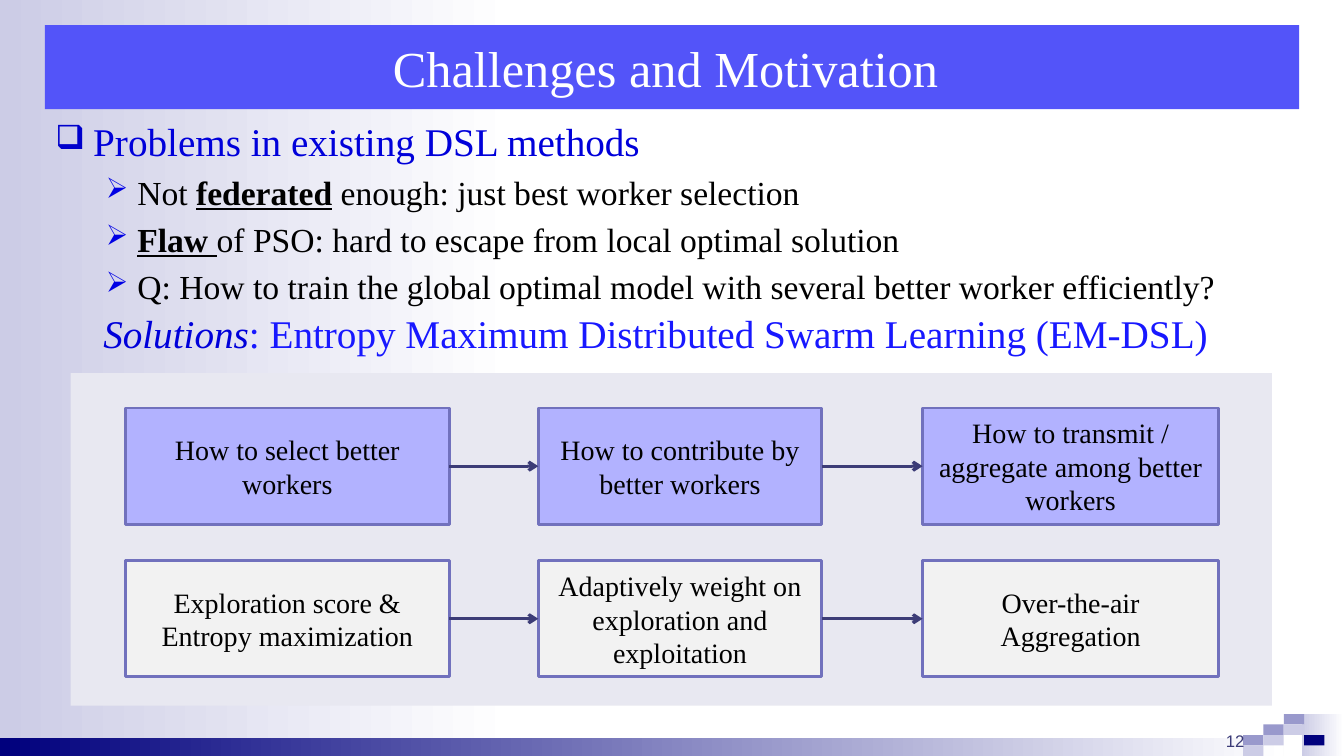
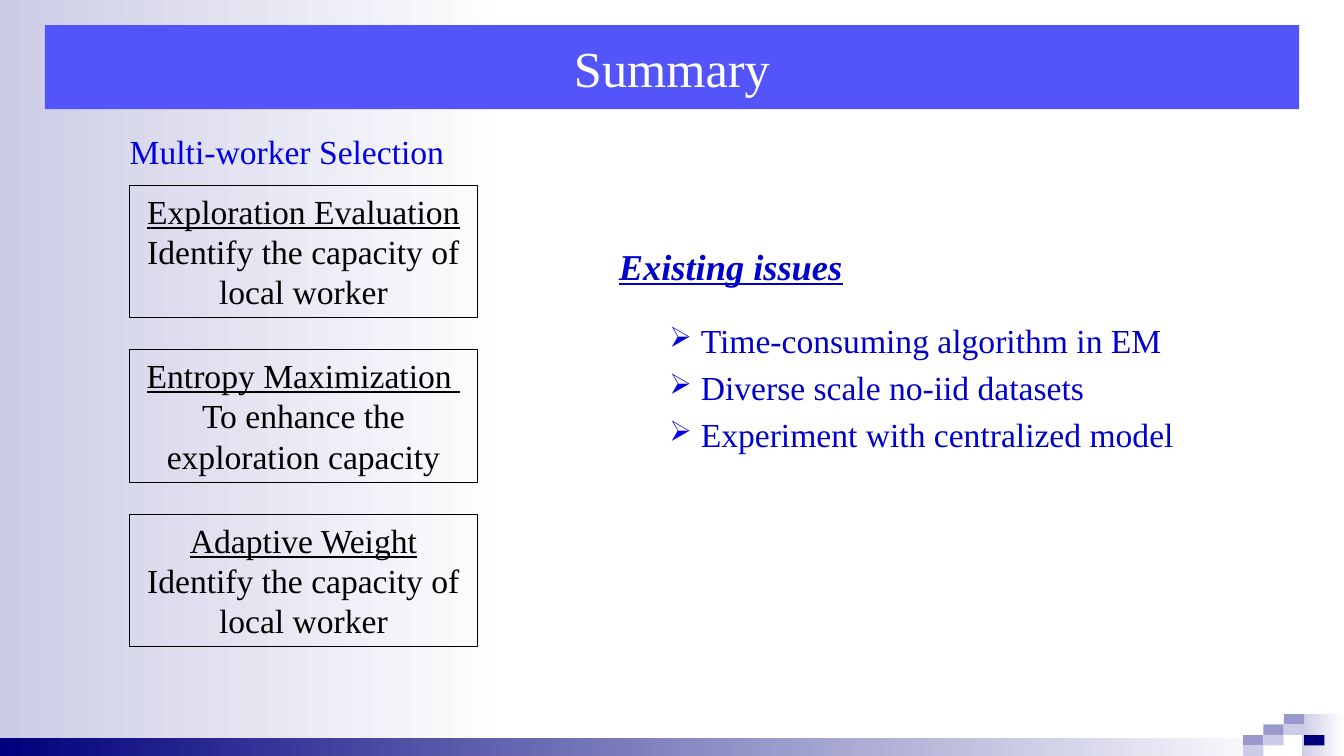
from dataclasses import dataclass

from lxml import etree
from pptx import Presentation
from pptx.dml.color import RGBColor
from pptx.enum.shapes import MSO_CONNECTOR, MSO_SHAPE
from pptx.enum.text import MSO_ANCHOR, PP_ALIGN
from pptx.oxml.ns import qn
from pptx.util import Pt

RECT, STRAIGHT = MSO_SHAPE.RECTANGLE, MSO_CONNECTOR.STRAIGHT
TOP, MIDDLE, BOTTOM = MSO_ANCHOR.TOP, MSO_ANCHOR.MIDDLE, MSO_ANCHOR.BOTTOM
LEFT, CENTER, RIGHT = PP_ALIGN.LEFT, PP_ALIGN.CENTER, PP_ALIGN.RIGHT


@dataclass(frozen=True)
class Theme:
    serif: str = "Times New Roman"
    sans: str = "Arial"
    title_size: int = 36
    head_size: int = 28
    issue_size: int = 26
    body_size: int = 24
    flow_size: int = 20
    number_size: int = 12
    white: str = "FFFFFF"
    black: str = "000000"
    navy: str = "00007D"
    pale: str = "CCCCE6"
    mid: str = "9999CC"
    title_band: str = "5354F9"
    head: str = "0000DA"
    solution: str = "1818FF"
    issue: str = "0000CC"
    bright: str = "0000E4"
    number: str = "3B3B77"
    panel: str = "E8E8F1"
    question: str = "B2B2FF"
    answer: str = "F2F2F2"
    flow_line: str = "7171BD"
    arrow: str = "3C3C77"


T = Theme()
# Bullet styles: character, colour, left margin, hanging indent, level
SQUARE = ("❑", T.issue, 27, 27, 0)
ARROW = ("➢", T.bright, 58.5, 22.5, 1)


def box(s, x, y, w, h, fill=None, line=None, weight=1, anchor=TOP):
    """Add a rectangle, or a text box if it has neither fill nor line.

    A pair of colours as fill gives a left-to-right gradient.
    """
    frame = Pt(x), Pt(y), Pt(w), Pt(h)
    if fill or line:
        sp = s.shapes.add_shape(RECT, *frame)
        sp.shadow.inherit = False
    else:
        sp = s.shapes.add_textbox(*frame)
    if isinstance(fill, tuple):
        sp.fill.gradient()
        sp.fill.gradient_angle = 0
        for stop, color in zip(sp.fill.gradient_stops, fill):
            stop.color.rgb = RGBColor.from_string(color)
    elif fill:
        sp.fill.solid()
        sp.fill.fore_color.rgb = RGBColor.from_string(fill)
    else:
        sp.fill.background()
    if line:
        sp.line.color.rgb = RGBColor.from_string(line)
        sp.line.width = Pt(weight)
    else:
        sp.line.fill.background()
    sp.text_frame.word_wrap = True
    sp.text_frame.vertical_anchor = anchor
    return sp


def write(sp, runs, size, color, align=CENTER, bullet=None, before=0, after=0, font=T.serif):
    """Add a paragraph of (text, style) runs; style holds any of b, i, u."""
    tf = sp.text_frame
    first = not tf.paragraphs[0].runs
    p = tf.paragraphs[0] if first else tf.add_paragraph()
    if bullet:
        char, bullet_color, margin, hanging, p.level = bullet
        pPr = p._p.get_or_add_pPr()
        pPr.set("marL", str(Pt(margin)))
        pPr.set("indent", str(-Pt(hanging)))
        clr = etree.SubElement(pPr, qn("a:buClr"))
        etree.SubElement(clr, qn("a:srgbClr")).set("val", bullet_color)
        etree.SubElement(pPr, qn("a:buSzPct")).set("val", "85000")
        etree.SubElement(pPr, qn("a:buChar")).set("char", char)
    p.alignment = align
    p.space_before = Pt(0 if first else before)
    p.space_after = Pt(after)
    for text, style in runs:
        r = p.add_run()
        r.text = text
        r.font.name = font
        r.font.size = Pt(size)
        r.font.color.rgb = RGBColor.from_string(color)
        r.font.bold = "b" in style
        r.font.italic = "i" in style
        r.font.underline = "u" in style
    return p


prs = Presentation()
prs.slide_width, prs.slide_height = Pt(960), Pt(540)

# Shared frame: gradients, corner mosaic and title band
MOSAIC = [(0, 2, T.mid), (0, 3, T.pale), (1, 1, T.mid), (1, 2, T.pale),
          (2, 0, T.mid), (2, 1, T.pale), (3, 2, T.navy)]
TILE_W, TILE_H = 14.5, 7.5
slides = []
for title in ("Challenges and Motivation ", "Summary"):
    s = prs.slides.add_slide(prs.slide_layouts[6])
    box(s, 0, 0, 368, 540, (T.pale, T.white))
    box(s, 930, 510, 30, 30, (T.pale, T.white))
    box(s, 0, 527, 917, 13, (T.navy, T.white))
    for col, row, color in MOSAIC:
        box(s, 888 + col * TILE_W, 510 + row * TILE_H, TILE_W, TILE_H, color)
    band = box(s, 32, 18, 896, 60, T.title_band, anchor=MIDDLE)
    write(band, [(title, "")], T.title_size, T.white)
    slides.append(s)
challenges, summary = slides

# Challenges and Motivation
problems = box(challenges, 32.5, 80.5, 864, 123)
write(problems, [("Problems in existing DSL methods", "")], T.head_size, T.head, LEFT, SQUARE)
for runs in (
    [("Not ", ""), ("federated", "bu"), (" enough: just best worker selection", "")],
    [("Flaw ", "bu"), ("of PSO: hard to escape from local optimal solution", "")],
    [("Q: How to train the global optimal model with several better worker efficiently?", "")],
):
    write(problems, runs, T.body_size, T.black, LEFT, ARROW, before=4.8)

solutions = box(challenges, 33, 217.5, 870.5, 41)
p = write(solutions, [("Solutions", "i"),
                      (": Entropy Maximum Distributed Swarm Learning (EM-DSL)", "")],
          T.head_size, T.solution)
p.runs[0].font.color.rgb = RGBColor.from_string(T.head)

number = box(challenges, 672, 504, 224, 36, anchor=BOTTOM)
write(number, [("12", "")], T.number_size, T.number, RIGHT, font=T.sans)

box(challenges, 50.5, 266.5, 858, 237.5, T.panel)
COLUMNS = [(89.5, 231.5), (384.5, 202.5), (659, 211.5)]
FLOWS = [
    (291.5, T.question, [["How to select better workers"],
                         ["How to contribute by better workers"],
                         ["How to transmit / aggregate among better workers"]]),
    (400.5, T.answer, [["Exploration score &", "Entropy maximization"],
                       ["Adaptively weight on exploration and exploitation"],
                       ["Over-the-air Aggregation"]]),
]
for y, fill, steps in FLOWS:
    previous = None
    for (x, w), lines in zip(COLUMNS, steps):
        step = box(challenges, x, y, w, 83, fill, T.flow_line, 2, MIDDLE)
        for text in lines:
            write(step, [(text, "")], T.flow_size, T.black)
        if previous is not None:
            link = challenges.shapes.add_connector(STRAIGHT, 0, 0, 0, 0)
            link.begin_connect(previous, 3)
            link.end_connect(step, 1)
            link.line.color.rgb = RGBColor.from_string(T.arrow)
            link.line.width = Pt(2.25)
            etree.SubElement(link.line._get_or_add_ln(), qn("a:tailEnd")).set("type", "arrow")
            etree.SubElement(link._element.spPr, qn("a:effectLst"))
        previous = step

# Summary
heading = box(summary, 47, 90, 316, 36)
write(heading, [("Multi-worker Selection", "")], T.body_size, T.bright)

METHODS = [
    ("Exploration Evaluation", "Identify the capacity of local worker"),
    ("Entropy Maximization ", "To enhance the exploration capacity"),
    ("Adaptive Weight", "Identify the capacity of local worker"),
]
for i, (name, purpose) in enumerate(METHODS):
    method = box(summary, 92.5, 132.5 + i * 117.5, 248.5, 94.5, line=T.black, weight=0.75)
    write(method, [(name, "u")], T.body_size, T.black)
    write(method, [(purpose, "")], T.body_size, T.black)

issues = box(summary, 435, 170.5, 476, 281)
write(issues, [("Existing issues", "biu")], T.issue_size, T.issue, LEFT, after=23.5)
for text in ("Time-consuming algorithm in EM", "Diverse scale no-iid datasets",
             "Experiment with centralized model"):
    write(issues, [(text, "")], T.body_size, T.issue, LEFT, ARROW, after=4.8)

prs.save("out.pptx")
